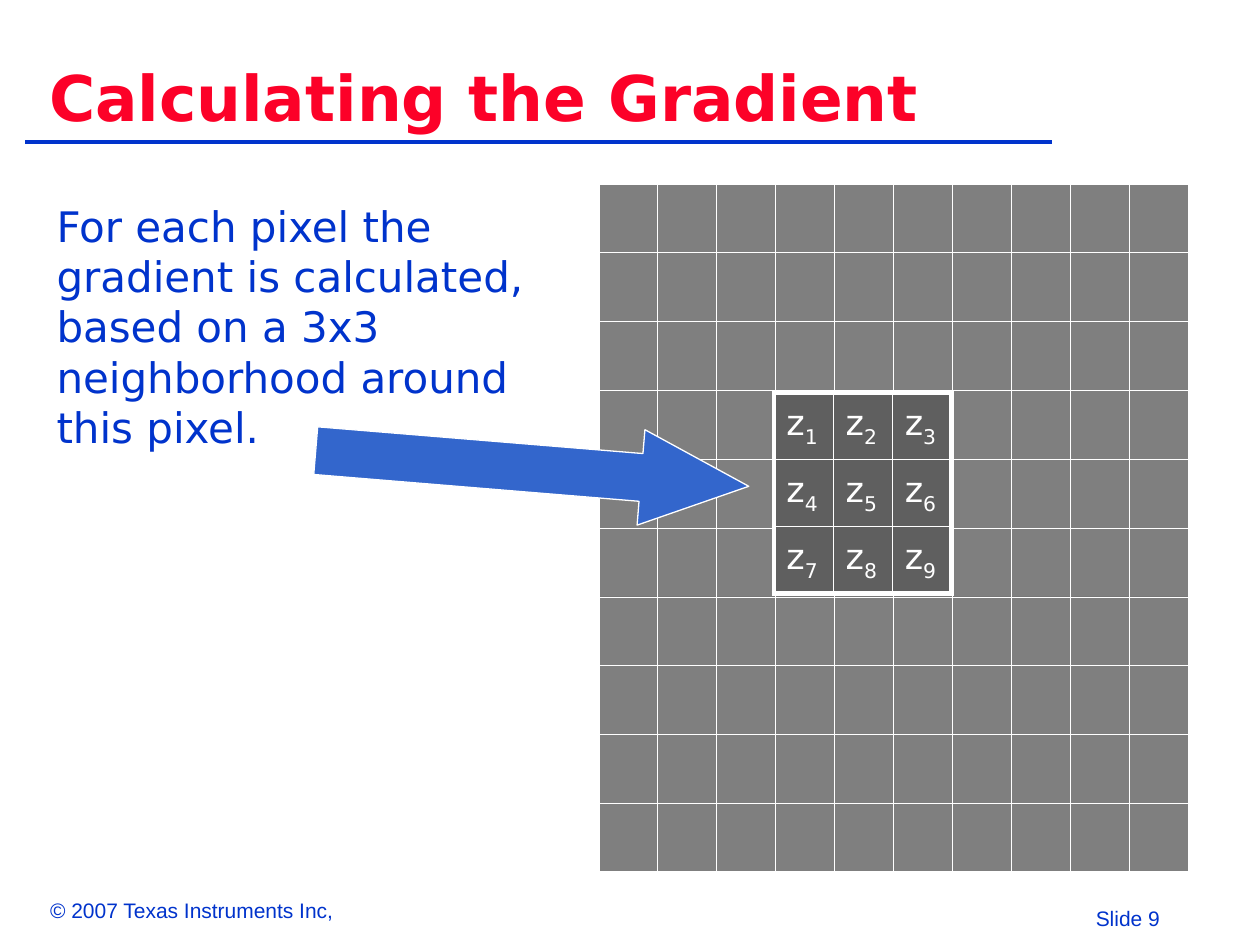
"""Build the slide on calculating the gradient from a 3x3 pixel neighborhood."""
from dataclasses import dataclass
from typing import Optional

import lxml.etree
import pptx
import pptx.dml.color
import pptx.enum.shapes
import pptx.enum.text
import pptx.oxml.ns
import pptx.util

Cm = pptx.util.Cm
Pt = pptx.util.Pt
qn = pptx.oxml.ns.qn

BLUE = "0033CC"
RED = "FC0128"
WHITE = "FFFFFF"
INNER_BORDER = 0.45


@dataclass(frozen=True)
class Box:
    left: float
    top: float
    width: float
    height: float

    def lengths(self) -> tuple:
        return Cm(self.left), Cm(self.top), Cm(self.width), Cm(self.height)


@dataclass(frozen=True)
class Label:
    text: str
    box: Box
    size: float
    font: str
    indent: float = 0.25


@dataclass(frozen=True)
class PixelGrid:
    box: Box
    count: int
    fill: str
    outer_border: float
    alpha: Optional[int] = None
    symbol: str = ""


LABELS = [
    Label("Slide 9", Box(21.84, 18.14, 3.48, 0.76), 12, "Arial"),
    Label("© 2007 Texas Instruments Inc,", Box(0.76, 17.96, 6.4, 0.76), 12, "Arial"),
    Label(
        "For each pixel the gradient is calculated, based on a 3x3 "
        "neighborhood around this pixel.",
        Box(0.56, 3.91, 11, 13.87), 24, "DejaVu Sans", indent=0.58,
    ),
]
IMAGE_GRID = PixelGrid(Box(12.07, 3.71, 11.89, 13.87), 10, "000000", 1.08, alpha=50)
NEIGHBORHOOD = PixelGrid(Box(15.6, 7.92, 3.58, 4.04), 3, "5F5F5F", 3, symbol="z")


def color(value: str) -> pptx.dml.color.RGBColor:
    return pptx.dml.color.RGBColor.from_string(value)


def add_run(paragraph, text: str, size: float, font: str, value: str):
    run = paragraph.add_run()
    run.text = text
    run.font.size = Pt(size)
    run.font.name = font
    run.font.color.rgb = color(value)
    return run


def add_title(slide, text: str) -> None:
    title = slide.shapes.title
    title.left, title.top, title.width, title.height = Box(0.51, 1.07, 20.6, 1.85).lengths()
    frame = title.text_frame
    frame.auto_size = pptx.enum.text.MSO_AUTO_SIZE.NONE
    frame.vertical_anchor = pptx.enum.text.MSO_ANCHOR.TOP
    frame.margin_left, frame.margin_top = Cm(0.48), Cm(0.1)
    frame.margin_right = frame.margin_bottom = 0
    paragraph = frame.paragraphs[0]
    paragraph.alignment = pptx.enum.text.PP_ALIGN.LEFT
    add_run(paragraph, text, 36, "DejaVu Sans", RED).font.bold = True


def add_label(slide, label: Label) -> None:
    frame = slide.shapes.add_textbox(*label.box.lengths()).text_frame
    frame.word_wrap = True
    frame.margin_left = Cm(label.indent)
    add_run(frame.paragraphs[0], label.text, label.size, label.font, BLUE)


def add_rule(slide) -> None:
    rule = slide.shapes.add_connector(
        pptx.enum.shapes.MSO_CONNECTOR.STRAIGHT, Cm(0.51), Cm(2.87), Cm(21.21), Cm(2.87)
    )
    rule.line.color.rgb = color(BLUE)
    rule.line.width = Pt(2.25)
    lxml.etree.SubElement(rule._element.spPr, qn("a:effectLst"))


def set_borders(cell, widths: dict[str, float]) -> None:
    properties = cell._tc.get_or_add_tcPr()
    for position, (side, width) in enumerate(widths.items()):
        line = lxml.etree.Element(qn(f"a:{side}"), w=str(int(Pt(width))))
        fill = lxml.etree.SubElement(line, qn("a:solidFill"))
        lxml.etree.SubElement(fill, qn("a:srgbClr"), val=WHITE)
        properties.insert(position, line)


def fill_cell(cell, value: str, alpha: Optional[int]) -> None:
    cell.fill.solid()
    cell.fill.fore_color.rgb = color(value)
    if alpha is not None:
        shade = cell._tc.tcPr.find(".//" + qn("a:srgbClr"))
        lxml.etree.SubElement(shade, qn("a:alpha"), val=str(alpha * 1000))


def add_symbol(cell, symbol: str, number: int) -> None:
    cell.vertical_anchor = pptx.enum.text.MSO_ANCHOR.MIDDLE
    paragraph = cell.text_frame.paragraphs[0]
    add_run(paragraph, symbol, 20, "DejaVu Sans", WHITE)
    subscript = add_run(paragraph, str(number), 20, "DejaVu Sans", WHITE)
    subscript.font._element.set("baseline", "-25000")


def add_pixel_grid(slide, grid: PixelGrid) -> None:
    count = grid.count
    table = slide.shapes.add_table(count, count, *grid.box.lengths()).table
    table.first_row = table.horz_banding = False
    for column in table.columns:
        column.width = Cm(grid.box.width / count)
    for row in table.rows:
        row.height = Cm(grid.box.height / count)
    for index, cell in enumerate(table.iter_cells()):
        row_index, column_index = divmod(index, count)
        fill_cell(cell, grid.fill, grid.alpha)
        on_edge = {
            "lnL": column_index == 0,
            "lnR": column_index == count - 1,
            "lnT": row_index == 0,
            "lnB": row_index == count - 1,
        }
        set_borders(cell, {
            side: grid.outer_border if outer else INNER_BORDER
            for side, outer in on_edge.items()
        })
        if grid.symbol:
            add_symbol(cell, grid.symbol, index + 1)


def add_arrow(slide) -> None:
    arrow = slide.shapes.add_shape(
        pptx.enum.shapes.MSO_SHAPE.RIGHT_ARROW, *Box(6.35, 8.48, 8.76, 1.93).lengths()
    )
    arrow.adjustments[0] = 0.5
    arrow.adjustments[1] = 1.13
    arrow.rotation = 4.7
    arrow.shadow.inherit = False
    arrow.fill.solid()
    arrow.fill.fore_color.rgb = color("3366CC")
    arrow.line.color.rgb = color(WHITE)
    arrow.line.width = Pt(0.75)


def main() -> None:
    presentation = pptx.Presentation()
    presentation.slide_width, presentation.slide_height = Cm(25.4), Cm(19.05)
    slide = presentation.slides.add_slide(presentation.slide_layouts.get_by_name("Title Only"))
    add_rule(slide)
    add_title(slide, "Calculating the Gradient")
    for label in LABELS:
        add_label(slide, label)
    for grid in (IMAGE_GRID, NEIGHBORHOOD):
        add_pixel_grid(slide, grid)
    add_arrow(slide)
    presentation.save("out.pptx")


if __name__ == "__main__":
    main()
